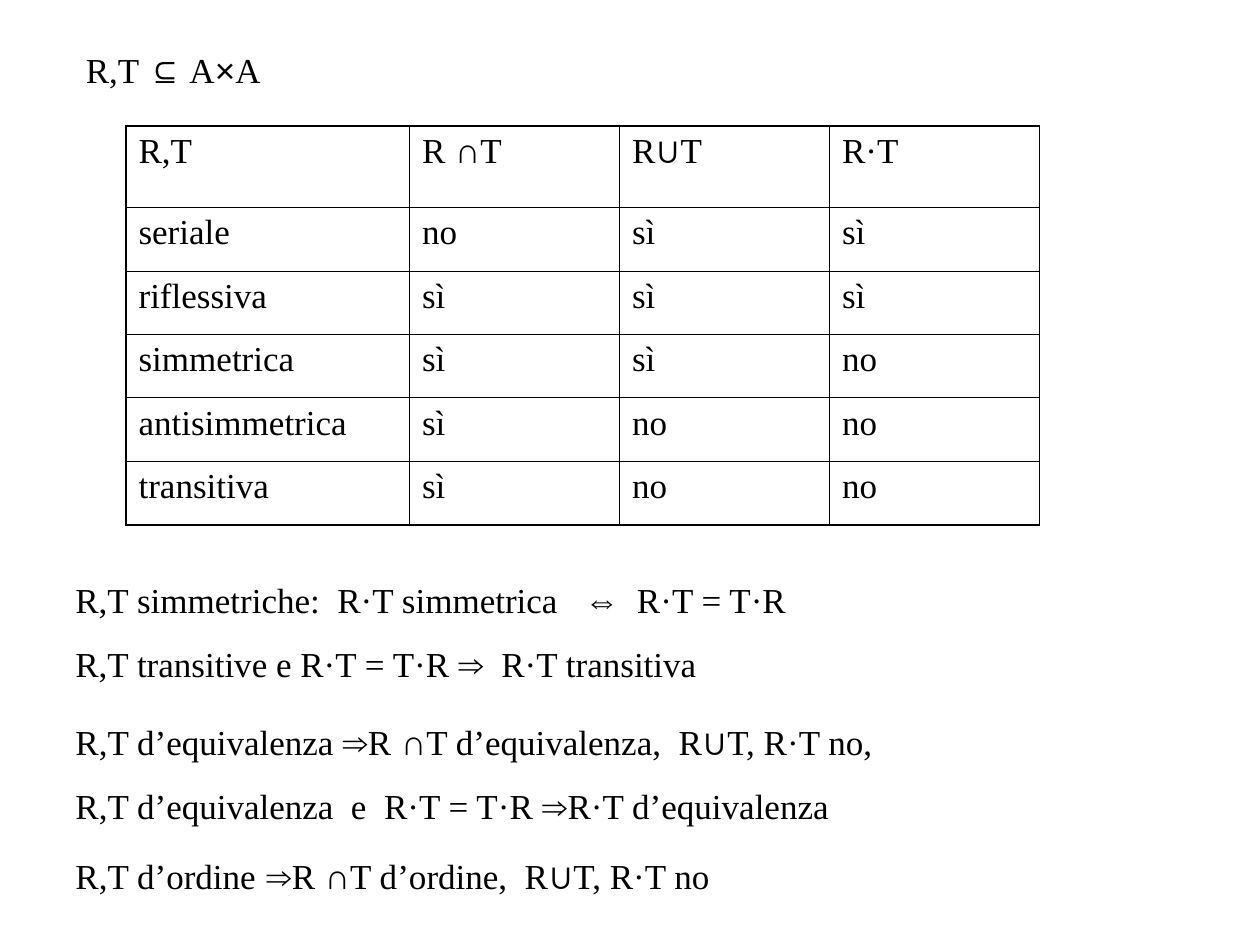
"""Build the slide on properties kept by intersection, union and product of relations."""
from dataclasses import dataclass

from lxml import etree
from pptx import Presentation
from pptx.dml.color import RGBColor
from pptx.oxml.ns import qn
from pptx.util import Inches, Pt

COLUMNS, ROWS = 120, 90


@dataclass(frozen=True)
class Theme:
    """Colours, fonts and sizes of the slide."""
    ink: str = "000000"
    body_font: str = "Times New Roman"
    symbol_font: str = "Arial"
    size: float = 20
    wide_size: float = 24
    line_gap: float = 12.5
    cell_gap: float = 5
    thin: float = 0.45
    thick: float = 1.08


def write(paragraph, text, *, theme, gap):
    """Write text whose bars switch between body and symbol font; a lone body space is wide."""
    paragraph.space_before = Pt(gap)
    for index, piece in enumerate(text.split("|")):
        if not piece:
            continue
        is_symbol = index % 2 == 1
        is_wide = piece == " " and not is_symbol
        run = paragraph.add_run()
        run.text = piece
        run.font.name = theme.symbol_font if is_symbol else theme.body_font
        run.font.size = Pt(theme.wide_size if is_wide else theme.size)
        run.font.color.rgb = RGBColor.from_string(theme.ink)


class SlideBuilder:
    """Places styled elements on a slide by grid columns and rows."""

    def __init__(self, presentation, theme):
        """Add a blank slide and derive the grid unit sizes."""
        self.theme = theme
        self.slide = presentation.slides.add_slide(presentation.slide_layouts[6])
        self.column = presentation.slide_width / COLUMNS
        self.row = presentation.slide_height / ROWS

    def box(self, left, top, width, height):
        """Turn grid units into lengths."""
        return (round(left * self.column), round(top * self.row),
                round(width * self.column), round(height * self.row))

    def text(self, lines, *place):
        """Add a text box with one paragraph per line."""
        frame = self.slide.shapes.add_textbox(*self.box(*place)).text_frame
        frame.word_wrap = True
        for index, line in enumerate(lines):
            paragraph = frame.add_paragraph() if index else frame.paragraphs[0]
            write(paragraph, line, theme=self.theme, gap=self.theme.line_gap)

    def table(self, records, left, top, widths, heights):
        """Add a ruled table with a heavier outer frame."""
        place = self.box(left, top, sum(widths), sum(heights))
        table = self.slide.shapes.add_table(len(heights), len(widths), *place).table
        table.first_row = table.horz_banding = False
        for column, width in zip(table.columns, widths):
            column.width = round(width * self.column)
        for row, height in zip(table.rows, heights):
            row.height = round(height * self.row)
        last_row, last_column = len(heights) - 1, len(widths) - 1
        for r, record in enumerate(records):
            for c, text in enumerate(record):
                cell = table.cell(r, c)
                cell.fill.background()
                write(cell.text_frame.paragraphs[0], text,
                      theme=self.theme, gap=self.theme.cell_gap)
                self.borders(cell, L=c == 0, R=c == last_column, T=r == 0, B=r == last_row)

    def borders(self, cell, **outer_sides):
        """Draw each cell side, thick where it lies on the outer frame."""
        properties = cell._tc.get_or_add_tcPr()
        for index, (side, is_outer) in enumerate(outer_sides.items()):
            width = Pt(self.theme.thick if is_outer else self.theme.thin)
            line = etree.Element(qn(f"a:ln{side}"), w=str(width))
            fill = etree.SubElement(line, qn("a:solidFill"))
            etree.SubElement(fill, qn("a:srgbClr"), val=self.theme.ink)
            properties.insert(index, line)


def main():
    """Build and save the presentation."""
    presentation = Presentation()
    presentation.slide_width, presentation.slide_height = Inches(10), Inches(7.5)
    builder = SlideBuilder(presentation, Theme())

    builder.text(["R,T |⊆| A|×|A"], 7, 4, 103, 11.25)
    builder.table(
        [
            ("R,T", "R| ∩|T", "R|∪|T", "R·T"),
            ("seriale", "no", "sì", "sì"),
            ("riflessiva", "sì", "sì", "sì"),
            ("simmetrica", "sì", "sì", "no"),
            ("antisimmetrica", "sì", "no", "no"),
            ("transitiva", "sì", "no", "no"),
        ],
        12, 12, [27] + [20] * 3, [7.75] + [6.05] * 5,
    )
    builder.text(
        [
            "R,T simmetriche:  R·T simmetrica   |⇔|  R·T = T·R",
            "R,T transitive e R·T = T·R |⇒|  R·T transitiva",
        ],
        6, 54.5, 103, 17.4,
    )
    builder.text(
        [
            "R,T d’equivalenza |⇒|R| ∩|T d’equivalenza,  R|∪|T, R·T no,",
            "R,T d’equivalenza  e  R·T = T·R |⇒|R·T d’equivalenza",
            "R,T d’ordine|| |⇒|R| ∩|T d’ordine,  R|∪|T, R·T no",
        ],
        6, 68, 106, 21,
    )
    presentation.save("out.pptx")


if __name__ == "__main__":
    main()
